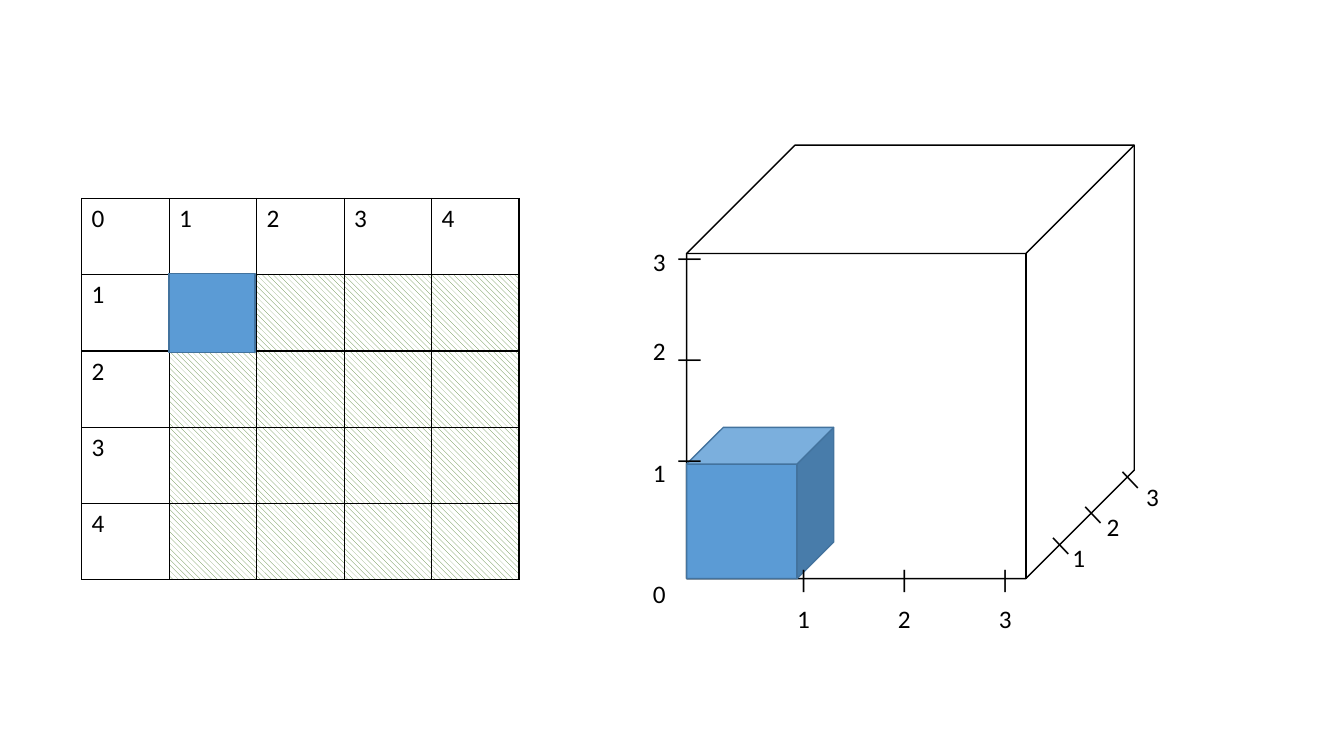
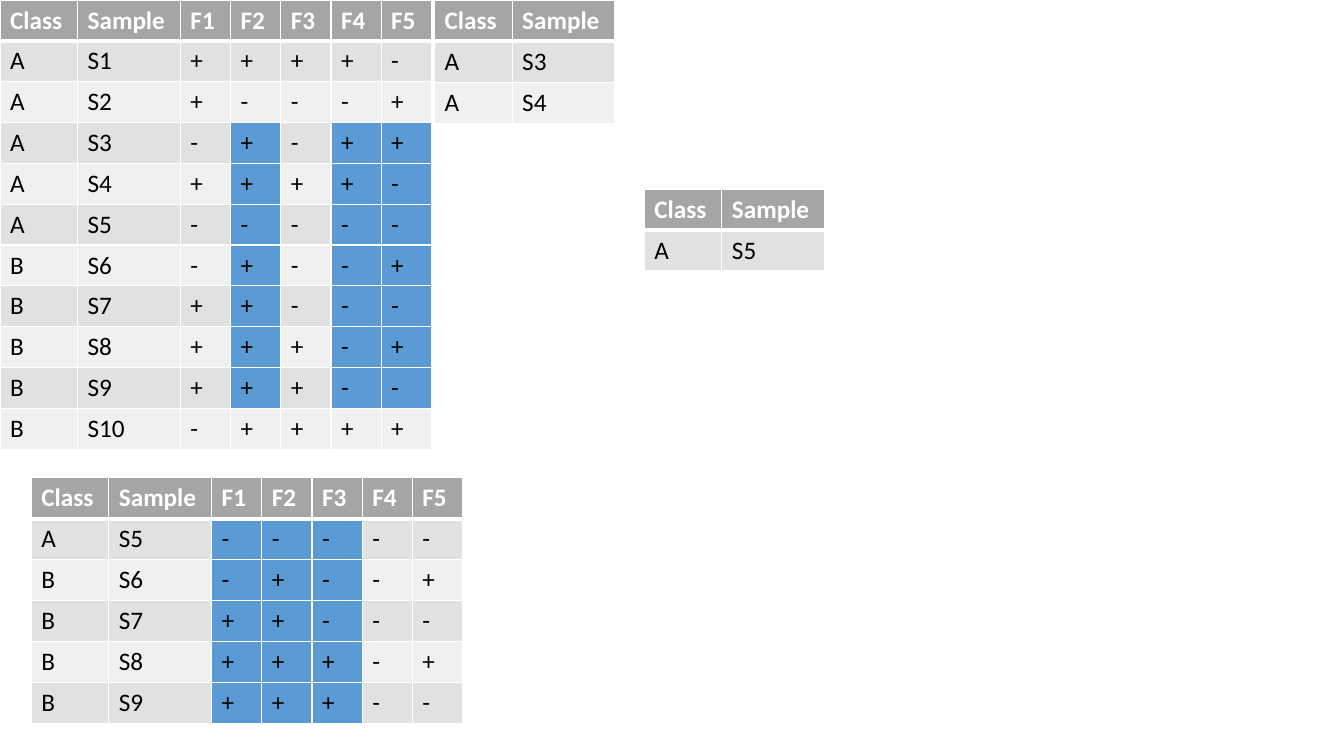
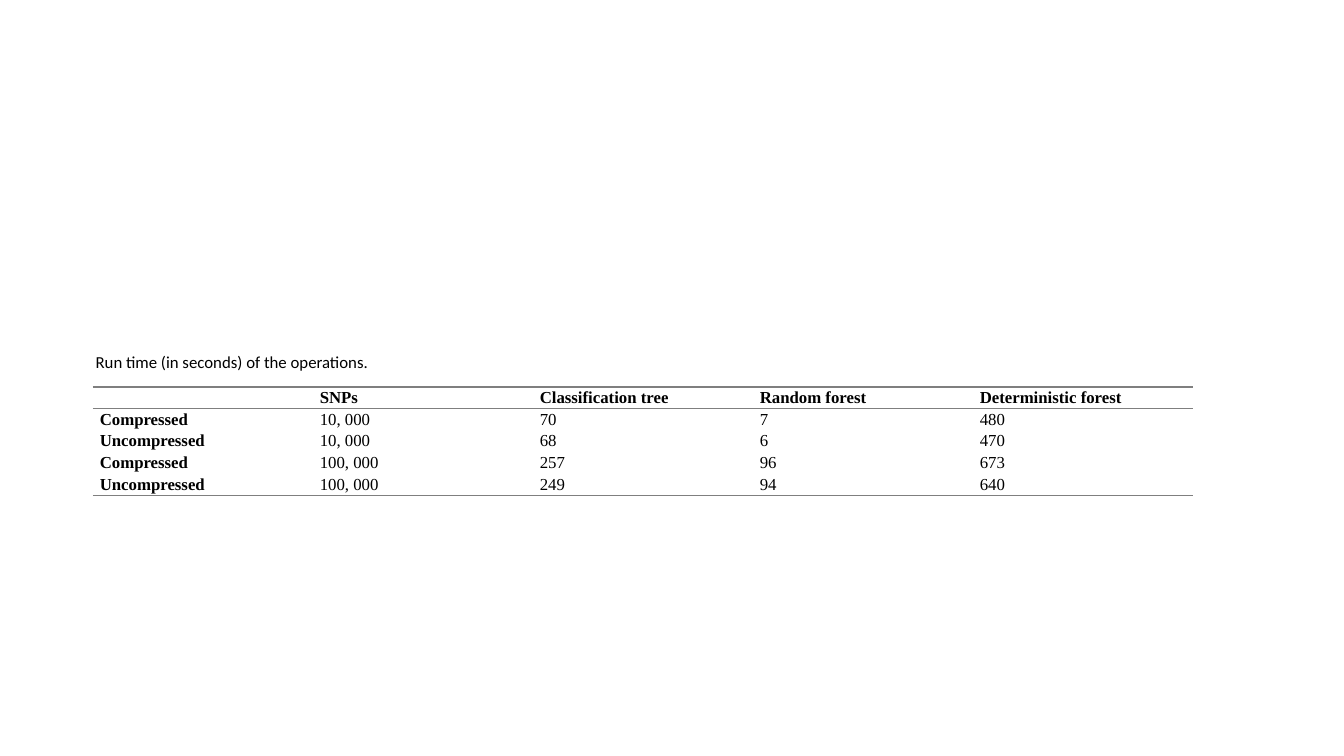
from dataclasses import dataclass

from lxml.etree import SubElement
from pptx import Presentation
from pptx.dml.color import RGBColor
from pptx.enum.dml import MSO_PATTERN
from pptx.enum.shapes import MSO_SHAPE
from pptx.enum.text import MSO_ANCHOR, PP_ALIGN
from pptx.oxml.ns import qn
from pptx.util import Inches, Pt


@dataclass(frozen=True)
class Theme:
    black: str = "000000"
    white: str = "FFFFFF"
    blue: str = "5B9BD5"
    blue_edge: str = "43739E"
    green: str = "548235"
    header: str = "A5A5A5"
    band_dark: str = "E1E1E1"
    band_light: str = "F0F0F0"
    rule: str = "7F7F7F"
    sans: str = "Calibri"
    serif: str = "Times New Roman"
    large: int = 18
    small: int = 12


THEME = Theme()


# Shared helpers
def color(value):
    return RGBColor.from_string(value)


def write_text(frame, text, size=THEME.large, font=THEME.sans, ink=THEME.black, bold=False,
               align=PP_ALIGN.LEFT, line_spacing=None, space_after=None):
    paragraph = frame.paragraphs[0]
    paragraph.alignment = align
    paragraph.line_spacing = line_spacing
    paragraph.space_after = space_after
    if not text:
        SubElement(paragraph._p, qn("a:endParaRPr")).set("sz", str(size * 100))
        return
    run = paragraph.add_run()
    run.text = text
    run.font.size = Pt(size)
    run.font.name = font
    run.font.bold = bold
    run.font.color.rgb = color(ink)


def add_text(slide, box, text, rotation=0, **text_format):
    text_box = slide.shapes.add_textbox(*map(Inches, box))
    text_box.rotation = rotation
    frame = text_box.text_frame
    frame.word_wrap = False
    frame.vertical_anchor = MSO_ANCHOR.MIDDLE
    write_text(frame, text, **text_format)


def add_solid(slide, kind, box, fill, edge):
    shape = slide.shapes.add_shape(kind, *map(Inches, box))
    shape.shadow.inherit = False
    if fill:
        shape.fill.solid()
        shape.fill.fore_color.rgb = color(fill)
    else:
        shape.fill.background()
    shape.line.color.rgb = color(edge)
    shape.line.width = Pt(1)


def add_plain_table(slide, box, row_count, column_widths):
    left, top, width, height = map(Inches, box)
    table = slide.shapes.add_table(row_count, len(column_widths), left, top, width, height).table
    table.first_row = table.horz_banding = False
    for column, column_width in zip(table.columns, column_widths):
        column.width = Inches(column_width)
    for row in table.rows:
        row.height = height // row_count
    return table


def set_borders(cell, ink, left=0, right=0, top=0, bottom=0):
    """Widths are points; zero hides a side. Call before filling the cell."""
    properties = cell._tc.get_or_add_tcPr()
    for side, width in zip("LRTB", (left, right, top, bottom)):
        line = SubElement(properties, qn(f"a:ln{side}"))
        if width:
            line.set("w", str(Pt(width)))
            SubElement(SubElement(line, qn("a:solidFill")), qn("a:srgbClr")).set("val", ink)
        else:
            SubElement(line, qn("a:noFill"))


# Slide 1: hatched grid and cube with three axes
def draw_hatched_grid(slide, box):
    count = 5
    left, top, width, height = box
    table = add_plain_table(slide, box, count, [width / count] * count)
    for row in range(count):
        for column in range(count):
            cell = table.cell(row, column)
            set_borders(cell, THEME.black, 1, 1, 1, 1)
            if row and column:
                cell.fill.patterned()
                cell.fill.pattern = MSO_PATTERN.WIDE_DOWNWARD_DIAGONAL
                cell.fill.fore_color.rgb = color(THEME.green)
                cell.fill.back_color.rgb = color(THEME.white)
            else:
                cell.fill.background()
                write_text(cell.text_frame, str(row + column))
    add_solid(slide, MSO_SHAPE.RECTANGLE,
              (left + width / count, top + height / count - 0.01, 0.85, 0.78),
              THEME.blue, THEME.blue_edge)


def draw_cube_axes(slide, box):
    left, top, width, height = box
    bottom = top + height
    add_solid(slide, MSO_SHAPE.CUBE, box, None, THEME.black)
    add_solid(slide, MSO_SHAPE.CUBE, (left, bottom - 1.5, 1.46, 1.5), THEME.blue, THEME.blue_edge)

    def add_mark(text, across, up, rotation=0):
        """Centre a tick or label, measured from the front lower left corner."""
        add_text(slide, (left + across - 0.2, bottom - up - 0.2, 0.4, 0.4), text,
                 rotation=rotation, align=PP_ALIGN.CENTER)

    # Uneven marks: label heights on the vertical axis, ticks and labels on the depth axis
    label_heights = (1.05, 2.26, 3.15)
    depth_ticks = ((3.69, 0.34), (4.01, 0.65), (4.38, 1.0))
    depth_labels = ((3.89, 0.21), (4.23, 0.52), (4.62, 0.81))
    add_mark("0", -0.27, -0.15)
    for value, label_height, depth_tick, depth_label in zip(
            (1, 2, 3), label_heights, depth_ticks, depth_labels):
        add_mark("|", value + 0.16, 0)
        add_mark(str(value), value + 0.16, -0.4)
        add_mark("|", 0, value + 0.16, rotation=270)
        add_mark(str(value), -0.27, label_height)
        add_mark("|", *depth_tick, rotation=316.5)
        add_mark(str(value), *depth_label)


# Slide 2: banded tables of samples and features
def draw_sample_table(slide, box, samples, marked_columns=(), marked_samples=()):
    """Each sample is (class, name, marks), with one sign per feature."""
    feature_count = len(samples[0][2])
    features = [f"F{number + 1}" for number in range(feature_count)]
    rows = [["Class", "Sample", *features]]
    rows += [[group, name, *marks] for group, name, marks in samples]
    name_widths = [0.77, 1.02]
    feature_width = (box[2] - sum(name_widths)) / max(feature_count, 1)
    table = add_plain_table(slide, box, len(rows),
                            name_widths + [feature_width] * feature_count)
    for row_index, values in enumerate(rows):
        is_header = row_index == 0
        for column_index, value in enumerate(values):
            if is_header:
                fill = THEME.header
            elif column_index in marked_columns and values[1] in marked_samples:
                fill = THEME.blue
            else:
                fill = THEME.band_dark if row_index % 2 else THEME.band_light
            cell = table.cell(row_index, column_index)
            set_borders(cell, THEME.white, 1, 1, top=3 if row_index == 1 else 1,
                        bottom=3 if is_header else 1)
            cell.fill.solid()
            cell.fill.fore_color.rgb = color(fill)
            write_text(cell.text_frame, value, bold=is_header,
                       ink=THEME.white if is_header else THEME.black)


# Slide 3: caption and ruled table
def draw_run_times(slide, box, caption, rows):
    left, top, width, height = box
    column_count = len(rows[0])
    last = len(rows) - 1
    table = add_plain_table(slide, box, len(rows), [width / column_count] * column_count)
    for row_index, values in enumerate(rows):
        for column_index, value in enumerate(values):
            cell = table.cell(row_index, column_index)
            cell.margin_left = cell.margin_right = Inches(0.07)
            cell.margin_top = cell.margin_bottom = 0
            set_borders(cell, THEME.rule, top=int(row_index < 2),
                        bottom=int(row_index in (0, last)))
            cell.fill.background()
            write_text(cell.text_frame, value, size=THEME.small, font=THEME.serif,
                       bold=row_index == 0 or column_index == 0,
                       line_spacing=1.07, space_after=Pt(8))
    add_text(slide, (left - 0.07, top - 0.4, 2.94, 0.3), caption, size=THEME.small)


SAMPLES = [
    ("A", "S1", "++++-"), ("A", "S2", "+---+"), ("A", "S3", "-+-++"), ("A", "S4", "++++-"),
    ("A", "S5", "-----"), ("B", "S6", "-+--+"), ("B", "S7", "++---"), ("B", "S8", "+++-+"),
    ("B", "S9", "+++--"), ("B", "S10", "-++++"),
]
RUN_TIMES = [
    ("", "SNPs", "Classification tree", "Random forest", "Deterministic forest"),
    ("Compressed", "10, 000", "70", "7", "480"),
    ("Uncompressed", "10, 000", "68", "6", "470"),
    ("Compressed", "100, 000", "257", "96", "673"),
    ("Uncompressed", "100, 000", "249", "94", "640"),
]


def names_only(samples):
    return [(group, name, "") for group, name, marks in samples]


presentation = Presentation()
presentation.slide_width = Inches(13.33)
presentation.slide_height = Inches(7.5)
blank_layout = presentation.slide_layouts[6]
cube_slide, sample_slide, time_slide = [
    presentation.slides.add_slide(blank_layout) for _ in range(3)]

draw_hatched_grid(cube_slide, (0.81, 1.97, 4.34, 3.78))
draw_cube_axes(cube_slide, (6.81, 1.44, 4.44, 4.3))

middle_names = [name for group, name, marks in SAMPLES[2:9]]
draw_sample_table(sample_slide, (0, 0, 4.28, 4.46), SAMPLES, (3, 5, 6), middle_names)
draw_sample_table(sample_slide, (4.31, 0, 1.79, 1.23), names_only(SAMPLES[2:4]))
draw_sample_table(sample_slide, (0.31, 4.74, 4.28, 2.44), SAMPLES[4:9], (2, 3, 4), middle_names)
draw_sample_table(sample_slide, (6.39, 1.88, 1.79, 0.81), names_only(SAMPLES[4:5]))

draw_run_times(time_slide, (0.92, 3.84, 10.91, 1.08),
               "Run time (in seconds) of the operations.", RUN_TIMES)

presentation.save("out.pptx")
